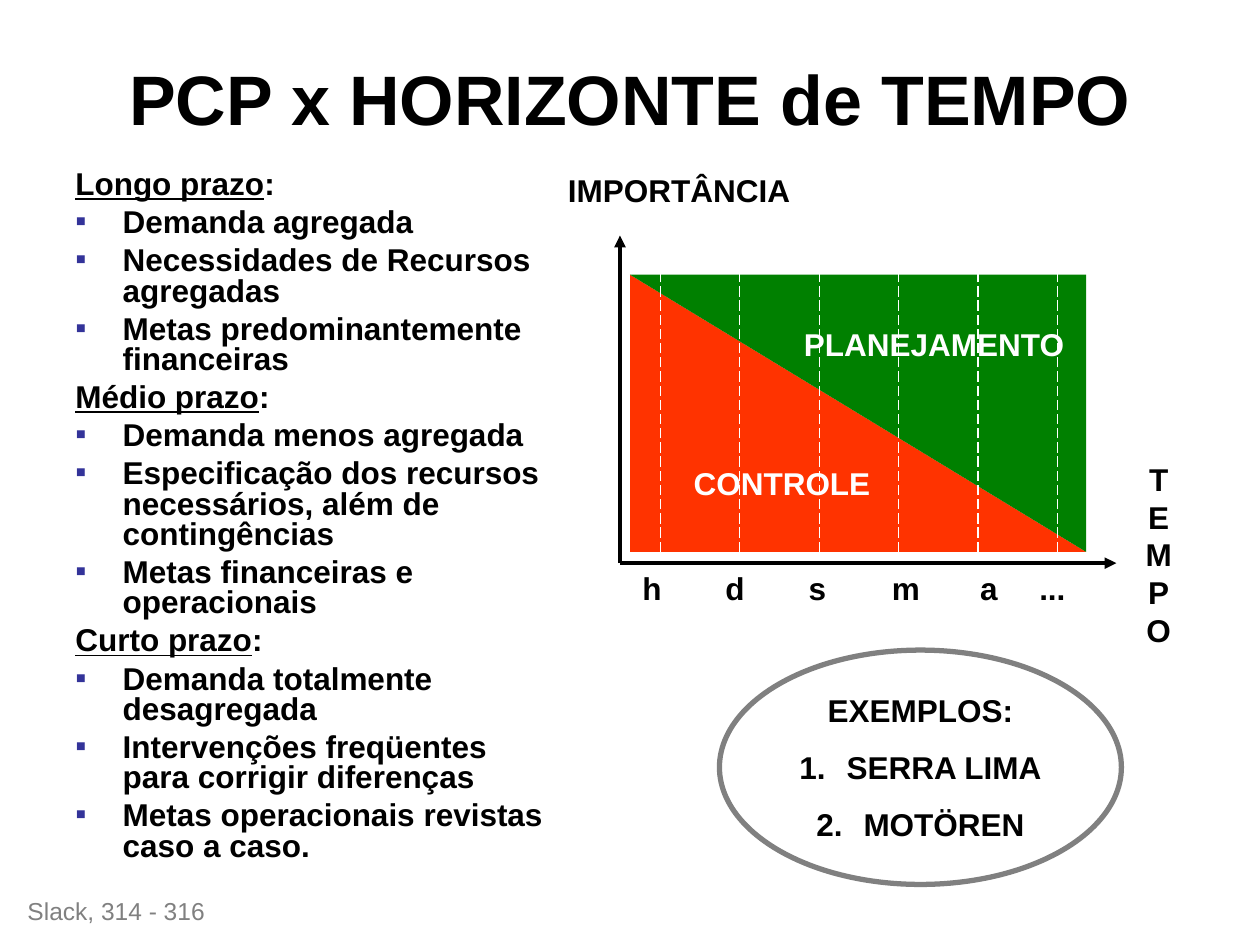
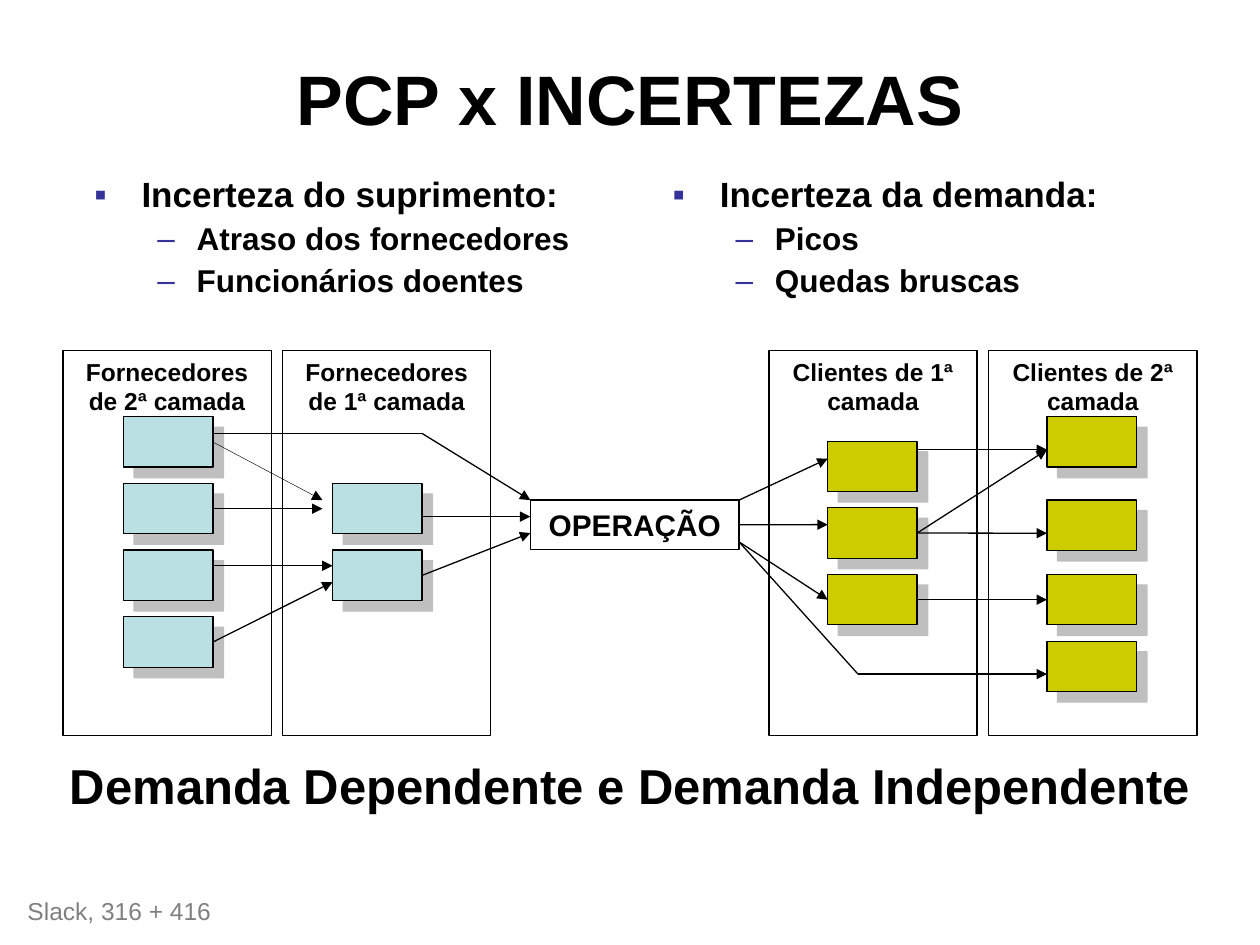
from pptx import Presentation
from pptx.dml.color import RGBColor
from pptx.enum.dml import MSO_LINE as Dash
from pptx.enum.shapes import MSO_CONNECTOR as Connector, MSO_SHAPE as Preset
from pptx.enum.text import MSO_ANCHOR as Anchor, PP_ALIGN as Align
from pptx.oxml.ns import qn
from pptx.util import Pt
from lxml.etree import SubElement

FONT = "Arial"
BLACK, WHITE, GRAY = "000000", "FFFFFF", "808080"
BULLET_BLUE = "333399"
RED, GREEN = "FF3300", "008000"
SUPPLIER_BLUE, CLIENT_YELLOW = "BBE0E3", "CCCC00"
RIGHT_SIDE, LEFT_SIDE = 3, 1


def rgb(color):
    return RGBColor.from_string(color)


def add_xml(parent, tag, **attributes):
    return SubElement(parent, qn(tag), {key: str(value) for key, value in attributes.items()})


def add_bullet(paragraph, bullet, color):
    """Mark the paragraph with a character, or number it when bullet is "auto"."""
    properties = paragraph._p.get_or_add_pPr()
    add_xml(add_xml(properties, "a:buClr"), "a:srgbClr", val=color)
    add_xml(properties, "a:buFont", typeface=FONT)
    if bullet == "auto":
        add_xml(properties, "a:buAutoNum", type="arabicPeriod")
    else:
        add_xml(properties, "a:buChar", char=bullet)


def add_text(shape, text, size=18, color=BLACK, bold=True, align=Align.LEFT, underlined="",
             before=0, spacing=1.0, margin=0, hanging=0, bullet=None, bullet_color=BULLET_BLUE):
    """Add one paragraph; the underlined words come before the text."""
    frame = shape.text_frame
    paragraph = frame.add_paragraph() if frame.text else frame.paragraphs[0]
    paragraph.alignment = align
    paragraph.space_before = Pt(before)
    paragraph.line_spacing = spacing
    properties = paragraph._p.get_or_add_pPr()
    properties.set("marL", str(Pt(margin)))
    properties.set("indent", str(-Pt(hanging)))
    if bullet:
        add_bullet(paragraph, bullet, bullet_color)
    for words, underline in ((underlined, True), (text, False)):
        if words:
            run = paragraph.add_run()
            run.text = words
            run.font.name, run.font.size = FONT, Pt(size)
            run.font.bold, run.font.underline = bold, underline
            run.font.color.rgb = rgb(color)


class Deck:
    """Holds the presentation, the shared style and the current slide."""

    def __init__(self):
        self.presentation = Presentation()
        self.presentation.slide_width, self.presentation.slide_height = Pt(720), Pt(540)
        self.slide = None

    def new_slide(self, title, reference):
        self.slide = self.presentation.slides.add_slide(self.presentation.slide_layouts[6])
        heading = self.text_box(36, 15, 648, 90, anchor=Anchor.MIDDLE)
        add_text(heading, title, size=40, align=Align.CENTER, spacing=0.8)
        footer = self.text_box(8.64, 508.3, 158.4, 24.5)
        add_text(footer, reference, size=14, color=GRAY, bold=False)

    def text_box(self, left, top, width, height, anchor=Anchor.TOP):
        box = self.slide.shapes.add_textbox(Pt(left), Pt(top), Pt(width), Pt(height))
        box.text_frame.word_wrap = True
        box.text_frame.vertical_anchor = anchor
        return box

    def shape(self, preset, left, top, width, height, fill=None, line=BLACK, weight=0.75,
              anchor=Anchor.TOP, wrap=True):
        shape = self.slide.shapes.add_shape(preset, Pt(left), Pt(top), Pt(width), Pt(height))
        shape.shadow.inherit = False
        if fill:
            shape.fill.solid()
            shape.fill.fore_color.rgb = rgb(fill)
        else:
            shape.fill.background()
        if line:
            shape.line.color.rgb = rgb(line)
            shape.line.width = Pt(weight)
        else:
            shape.line.fill.background()
        shape.text_frame.word_wrap = wrap
        shape.text_frame.vertical_anchor = anchor
        return shape

    def triangle(self, label, fill, turned=False):
        """Half of the importance chart; the turned half keeps its label upright."""
        half = self.shape(Preset.RIGHT_TRIANGLE, 360, 157, 260.64, 158.4, fill=fill, line=None,
                          anchor=Anchor.MIDDLE, wrap=False)
        add_text(half, label, color=WHITE, align=Align.CENTER)
        if turned:
            frame = half._element.spPr.find(qn("a:xfrm"))
            frame.set("flipH", "1")
            frame.set("flipV", "1")
            half.text_frame._txBody.find(qn("a:bodyPr")).set("rot", "10800000")

    def company(self, left, top, fill):
        """A box with a hard grey shadow."""
        box = self.shape(Preset.RECTANGLE, left, top, 51.1, 28.8, fill=fill)
        effects = box._element.spPr.find(qn("a:effectLst"))
        shadow = add_xml(effects, "a:outerShdw", blurRad=0, dist=Pt(8.5), dir=45 * 60000,
                         algn="ctr", rotWithShape=0)
        add_xml(add_xml(shadow, "a:srgbClr", val=GRAY), "a:alpha", val=50000)
        return box

    def line(self, start, end, color=BLACK, weight=0.75, arrow=True, dash=None):
        """Draw from start to end: each a point, or a box to leave at right or reach at left."""
        points = [end if isinstance(end, tuple) else (0, 0)]
        points.insert(0, start if isinstance(start, tuple) else (0, 0))
        (x1, y1), (x2, y2) = points
        line = self.slide.shapes.add_connector(Connector.STRAIGHT, Pt(x1), Pt(y1), Pt(x2), Pt(y2))
        if not isinstance(start, tuple):
            line.begin_connect(start, RIGHT_SIDE)
        if not isinstance(end, tuple):
            line.end_connect(end, LEFT_SIDE)
        line.line.color.rgb = rgb(color)
        line.line.width = Pt(weight)
        if dash:
            line.line.dash_style = dash
        properties = line._element.spPr
        if arrow:
            add_xml(properties.find(qn("a:ln")), "a:tailEnd", type="triangle")
        add_xml(properties, "a:effectLst")


def build_horizon(deck):
    deck.new_slide("PCP x HORIZONTE de TEMPO", "Slack, 314 - 316")
    horizons = {
        "Longo prazo": ["Demanda agregada", "Necessidades de Recursos agregadas",
                        "Metas predominantemente financeiras"],
        "Médio prazo": ["Demanda menos agregada",
                        "Especificação dos recursos necessários, além de contingências",
                        "Metas financeiras e operacionais"],
        "Curto prazo": ["Demanda totalmente desagregada",
                        "Intervenções freqüentes para corrigir diferenças",
                        "Metas operacionais revistas caso a caso."],
    }
    body = deck.text_box(36, 94.3, 284.4, 414)
    body_style = dict(spacing=0.8, before=4.5, margin=27, hanging=27)
    for horizon, features in horizons.items():
        add_text(body, ":", underlined=horizon, **body_style)
        for feature in features:
            add_text(body, feature, bullet="▪", **body_style)

    origin = (354.3, 321.8)
    for axis_end in ((637.9, 321.8), (354.3, 134.6)):
        deck.line(origin, axis_end, weight=2.25)
    deck.triangle("CONTROLE", RED)
    deck.triangle("PLANEJAMENTO", GREEN, turned=True)

    add_text(deck.text_box(308.9, 94.3, 158.4, 28.8), "IMPORTÂNCIA", align=Align.CENTER)
    add_text(deck.text_box(646.6, 259.2, 31, 118.8), "TEMPO", align=Align.CENTER)
    periods = {"h": 360, "d": 407.5, "s": 455, "m": 502.6, "a": 553, "...": 586.8}
    for period, left in periods.items():
        add_text(deck.text_box(left, 321.8, 31, 28.8), period)
    for step in range(len(periods)):
        x = 377.3 + 45.4 * step
        deck.line((x, 315.4), (x, 151.2), color=WHITE, arrow=False, dash=Dash.LONG_DASH)

    examples = deck.shape(Preset.OVAL, 411.1, 371.5, 229.7, 133.9, line=GRAY, weight=3)
    example_style = dict(align=Align.CENTER, before=11.2, margin=27, hanging=27)
    add_text(examples, "EXEMPLOS:", **example_style)
    for example in ("SERRA LIMA", "MOTÖREN"):
        add_text(examples, example, bullet="auto", bullet_color=BLACK, **example_style)


def build_uncertainty(deck):
    deck.new_slide("PCP x INCERTEZAS", "Slack, 316 + 416")
    uncertainties = (
        (46.8, "Incerteza do suprimento:", ["Atraso dos fornecedores", "Funcionários doentes"]),
        (377.3, "Incerteza da demanda:", ["Picos", "Quedas bruscas"]),
    )
    for left, uncertainty, causes in uncertainties:
        body = deck.text_box(left, 97.9, 306.7, 85)
        add_text(body, uncertainty, size=20, spacing=0.9, before=5,
                 margin=27, hanging=27, bullet="▪")
        for cause in causes:
            add_text(body, cause, spacing=0.9, before=4.5,
                     margin=58.5, hanging=22.5, bullet="–")

    tiers = {"Fornecedores de 2ª camada": 36, "Fornecedores de 1ª camada": 161.5,
             "Clientes de 1ª camada": 439.4, "Clientes de 2ª camada": 565}
    for tier, left in tiers.items():
        panel = deck.shape(Preset.RECTANGLE, left, 200.2, 119, 220.3)
        add_text(panel, tier, size=14, align=Align.CENTER)

    pitch = 38.1
    suppliers_2 = [deck.company(70.6, 238.2 + pitch * row, SUPPLIER_BLUE) for row in range(4)]
    suppliers_1 = [deck.company(190.1, 238.2 + pitch * row, SUPPLIER_BLUE) for row in (1, 2)]
    clients_1 = [deck.company(473, 252.1 + pitch * row, CLIENT_YELLOW) for row in range(3)]
    clients_2 = [deck.company(598.3, top, CLIENT_YELLOW) for top in (238.2, 285.8, 328.3, 366.4)]
    operation = deck.shape(Preset.RECTANGLE, 303.1, 285.8, 119.2, 28.1)
    add_text(operation, "OPERAÇÃO", size=17, align=Align.CENTER)

    supply_bend, demand_bend = (241.2, 247.7), (490.3, 385.2)
    operation_exit, upper_client = (422.3, 309.6), (598.3, 257)
    deck.line(suppliers_2[0], (184.3, 285.8), weight=0.25)
    deck.line((121.7, 247.7), supply_bend, arrow=False)
    deck.line(operation_exit, demand_bend, arrow=False)
    flows = (
        (suppliers_2[1], (184.3, 290.7)),
        ((121.7, 323.3), (190.1, 323.3)),
        (suppliers_2[3], (190.1, 332.6)),
        ((241.2, 295.2), (303.1, 295.2)),
        (suppliers_1[1], (303.1, 304.6)),
        (supply_bend, (303.1, 285.8)),
        ((422.3, 285.8), (473, 262.1)),
        (operation, (473, 299.8)),
        (operation_exit, clients_1[2]),
        (demand_bend, (598.3, 385.2)),
        (clients_1[2], clients_2[2]),
        (clients_1[1], (598.3, 304.7)),
        (clients_1[1], upper_client),
        ((524.1, 257), upper_client),
    )
    for start, end in flows:
        deck.line(start, end)

    conclusion = deck.text_box(31, 428.4, 658, 41)
    add_text(conclusion, "Demanda Dependente e Demanda Independente",
             size=28, align=Align.CENTER)


def main():
    deck = Deck()
    build_horizon(deck)
    build_uncertainty(deck)
    deck.presentation.save("out.pptx")


if __name__ == "__main__":
    main()
